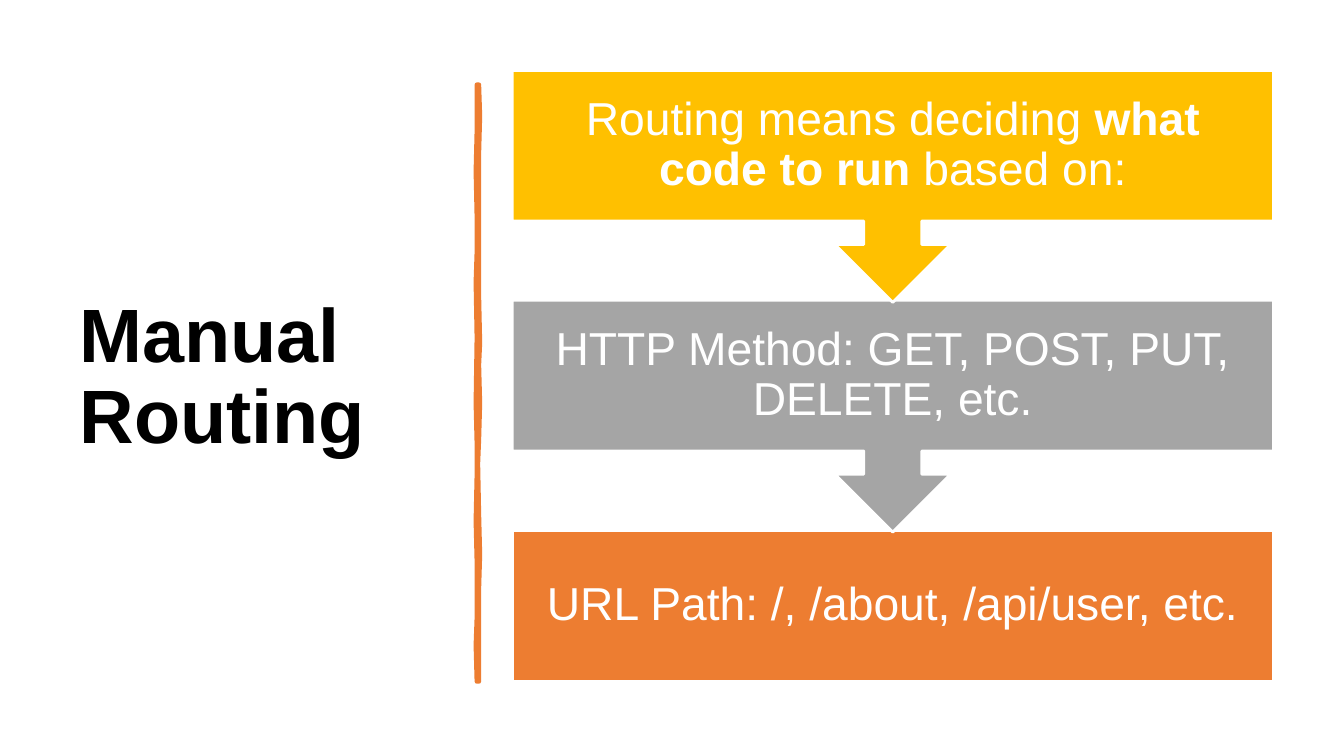
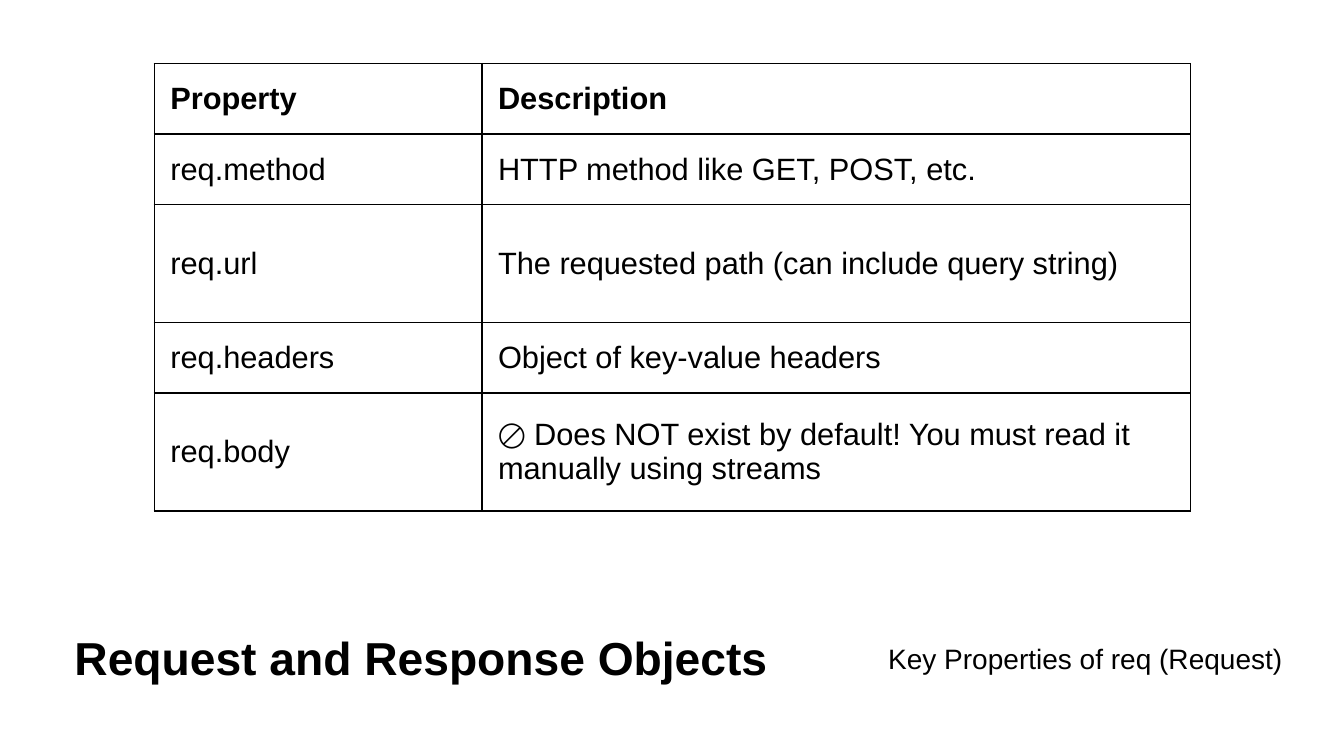
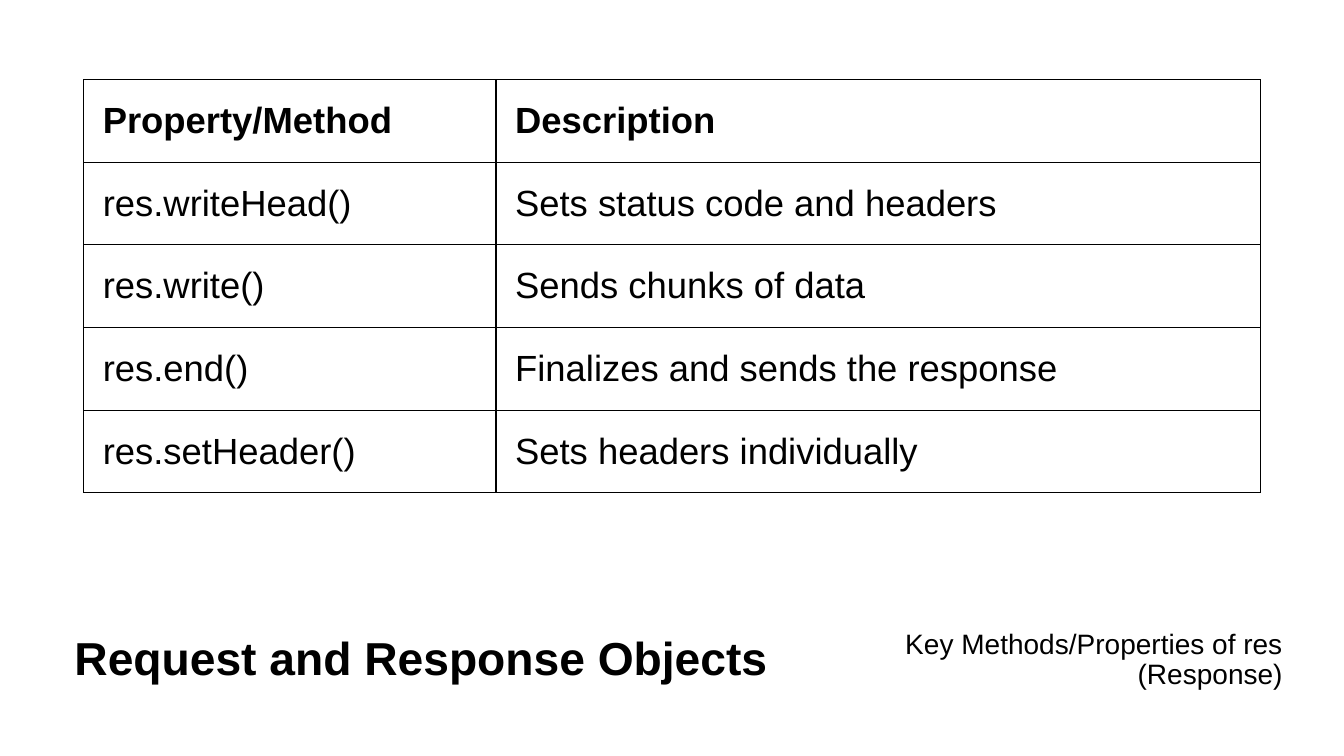
from lxml import etree
from pptx import Presentation
from pptx.dml.color import RGBColor
from pptx.enum.shapes import MSO_SHAPE
from pptx.enum.text import MSO_ANCHOR, PP_ALIGN
from pptx.oxml import parse_xml
from pptx.oxml.ns import nsdecls, qn
from pptx.util import Pt

PX = 9144  # 100 px to the inch
FONT = "Arial"
COLORS = {
    "text": "000000",
    "paper": "FFFFFF",
    "orange": "ED7D31",
    "gray": "A5A5A5",
    "gold": "FFC000",
}


def write(frame, spans, size, color="text", align=PP_ALIGN.LEFT, spacing=0.9):
    """Fill a frame with one paragraph of (text, bold) spans, centred vertically."""
    frame.word_wrap = True
    frame.vertical_anchor = MSO_ANCHOR.MIDDLE
    para = frame.paragraphs[0]
    para.alignment = align
    para.line_spacing = spacing
    for text, bold in spans:
        span = para.add_run()
        span.text = text
        span.font.name = FONT
        span.font.size = Pt(size)
        span.font.bold = bold
        span.font.color.rgb = RGBColor.from_string(COLORS[color])


def add_text(page, left, top, width, height, spans, size, align=PP_ALIGN.LEFT):
    box = page.shapes.add_textbox(left * PX, top * PX, width * PX, height * PX)
    write(box.text_frame, spans, size, align=align)


deck = Presentation()
deck.slide_width = 1333 * PX
deck.slide_height = 750 * PX
blank = deck.slide_layouts[6]

# Manual routing
page = deck.slides.add_slide(blank)
add_text(page, 69, 70, 374, 611, [("Manual Routing", True)], 54)

right_edge = [
    (475, 84), (476, 115), (475, 152), (475, 208), (475, 294), (476, 340),
    (475, 362), (476, 400), (475, 436), (474, 460), (475, 510), (476, 550),
    (475, 584), (475, 630), (475, 676),
]
left_edge = [
    (473, 676), (472, 640), (473, 613), (473, 557), (472, 517), (473, 471),
    (473, 440), (472, 400), (473, 335), (472, 280), (473, 250), (473, 215),
    (472, 170), (473, 130), (473, 84),
]
outline = right_edge + left_edge
builder = page.shapes.build_freeform(*outline[0], scale=PX)
builder.add_line_segments(outline[1:], close=True)
divider = builder.convert_to_shape()
divider.shadow.inherit = False
divider.fill.solid()
divider.fill.fore_color.rgb = RGBColor.from_string(COLORS["orange"])
divider.line.color.rgb = RGBColor.from_string(COLORS["orange"])
divider.line.width = Pt(3.25)
etree.SubElement(divider.line._get_or_add_ln(), qn("a:round"))

step_top, step_pitch = 70, 228
callout, last = (MSO_SHAPE.DOWN_ARROW_CALLOUT, 230), (MSO_SHAPE.RECTANGLE, 150)
steps = [
    (callout, "gold", [("Routing means deciding ", False),
                       ("what code to run", True), (" based on:", False)]),
    (callout, "gray", [("HTTP Method: GET, POST, PUT, DELETE, etc.", False)]),
    (last, "orange", [("URL Path: /, /about, /api/user, etc.", False)]),
]
# Bottom step first, so that each arrow tip lies over the step below it
for index, ((kind, height), color, spans) in reversed(list(enumerate(steps))):
    top = step_top + index * step_pitch
    step = page.shapes.add_shape(kind, 508 * PX, top * PX, 755 * PX, height * PX)
    step.shadow.inherit = False
    step.fill.solid()
    step.fill.fore_color.rgb = RGBColor.from_string(COLORS[color])
    step.line.color.rgb = RGBColor.from_string(COLORS["paper"])
    step.line.width = Pt(2)
    frame = step.text_frame
    frame.margin_left = frame.margin_right = 26 * PX
    frame.margin_top = frame.margin_bottom = 26 * PX
    write(frame, spans, 33, "paper", PP_ALIGN.CENTER)

# Request and response tables
table_pages = [
    {
        "subtitle": "Key Properties of req (Request)",
        "place": (153, 63), "columns": [325, 703],
        "heights": [70, 70, 117, 70, 117],
        "size": 22, "margins": (16, 8),
        "rows": [
            ("Property", "Description"),
            ("req.method", "HTTP method like GET, POST, etc."),
            ("req.url", "The requested path (can include query string)"),
            ("req.headers", "Object of key-value headers"),
            ("req.body", "🚫 Does NOT exist by default! You must read it manually using streams"),
        ],
    },
    {
        "subtitle": "Key Methods/Properties of res (Response)",
        "place": (83, 79), "columns": [409, 758],
        "heights": [82] * 5,
        "size": 26, "margins": (19, 9),
        "rows": [
            ("Property/Method", "Description"),
            ("res.writeHead()", "Sets status code and headers"),
            ("res.write()", "Sends chunks of data"),
            ("res.end()", "Finalizes and sends the response"),
            ("res.setHeader()", "Sets headers individually"),
        ],
    },
]
for content in table_pages:
    page = deck.slides.add_slide(blank)
    band = page.shapes.add_shape(MSO_SHAPE.RECTANGLE, 0, 561 * PX, 1333 * PX, 188 * PX)
    band.shadow.inherit = False
    band.fill.solid()
    band.fill.fore_color.rgb = RGBColor.from_string(COLORS["paper"])
    band.line.fill.background()
    add_text(page, 64, 594, 763, 122, [("Request and Response Objects", True)], 33)
    add_text(page, 827, 594, 455, 122, [(content["subtitle"], False)], 20, PP_ALIGN.RIGHT)

    left, top = content["place"]
    columns, heights, rows = content["columns"], content["heights"], content["rows"]
    table = page.shapes.add_table(
        len(rows), len(columns), left * PX, top * PX,
        sum(columns) * PX, sum(heights) * PX).table
    table.first_row = table.horz_banding = False
    for column, width in zip(table.columns, columns):
        column.width = width * PX
    for row, height in zip(table.rows, heights):
        row.height = height * PX
    side, end = content["margins"]
    for row_index, texts in enumerate(rows):
        for column_index, text in enumerate(texts):
            cell = table.cell(row_index, column_index)
            cell.margin_left = cell.margin_right = side * PX
            cell.margin_top = cell.margin_bottom = end * PX
            cell.vertical_anchor = MSO_ANCHOR.MIDDLE
            write(cell.text_frame, [(text, row_index == 0)], content["size"], spacing=1.0)
            properties = cell._tc.get_or_add_tcPr()
            for edge in ("lnL", "lnR", "lnT", "lnB"):
                properties.append(parse_xml(
                    f'<a:{edge} {nsdecls("a")} w="{Pt(1)}"><a:solidFill>'
                    f'<a:srgbClr val="{COLORS["text"]}"/></a:solidFill></a:{edge}>'))
            cell.fill.background()

deck.save("out.pptx")
